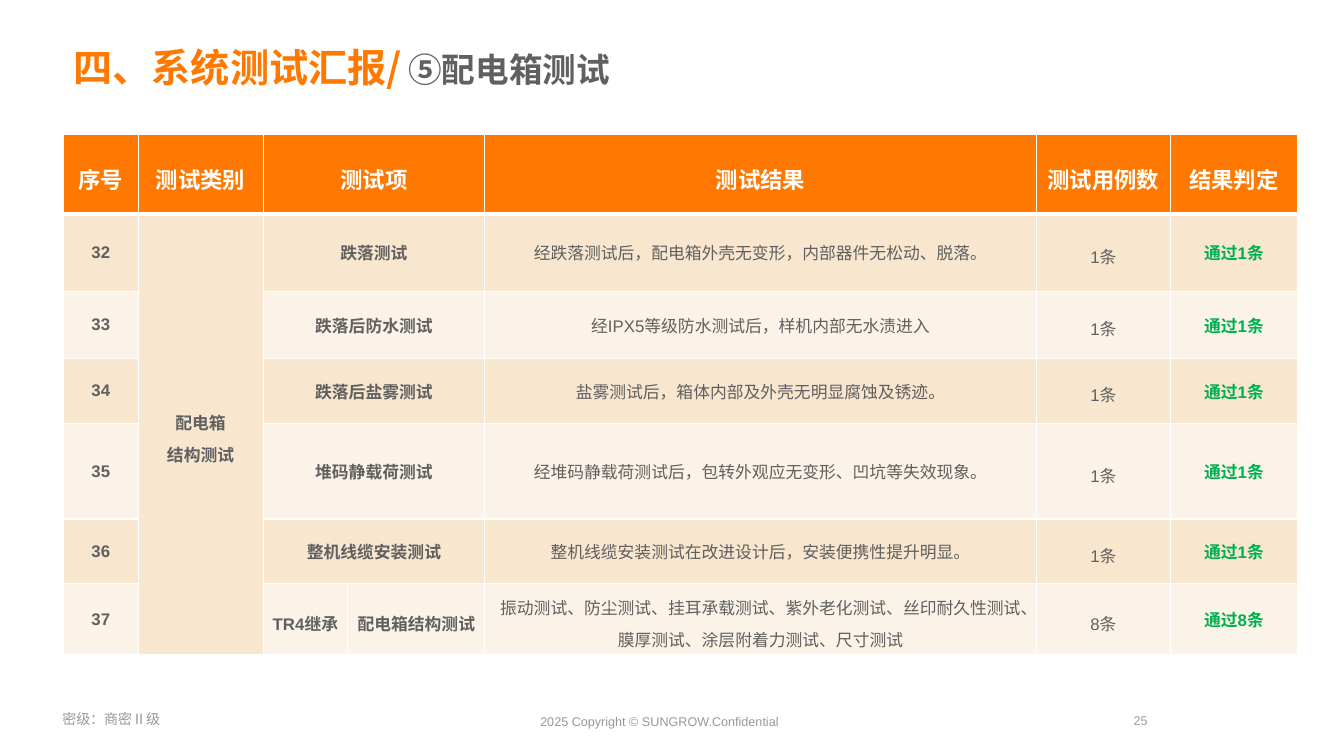
from lxml import etree
from pptx import Presentation, util as u
from pptx.dml.color import RGBColor
from pptx.enum import text
from pptx.oxml.ns import qn

ORANGE, GREY, GREEN, WHITE = "FF7900", "5F605F", "00B050", "FFFFFF"
FOOTER_GREY, PAGE_GREY = "979897", "9D9D9D"
BANDS = ["F8E6CF", "FCF3E8"]
LATIN, CJK = "Arial", "Noto Sans CJK SC"
CENTER, RIGHT = text.PP_ALIGN.CENTER, text.PP_ALIGN.RIGHT
MIDDLE = text.MSO_ANCHOR.MIDDLE

COLUMN_WIDTHS = [0.74, 1.24, 0.84, 1.36, 5.47, 1.33, 1.26]
ROW_HEIGHTS = [0.79, 0.77, 0.67, 0.64, 0.95, 0.64, 0.71]
HEADERS = ["序号", "测试类别", "测试项", "", "测试结果", "测试用例数", "结果判定"]
TESTS = [
    ("跌落测试", "", "经跌落测试后，配电箱外壳无变形，内部器件无松动、脱落。", 1),
    ("跌落后防水测试", "", "经IPX5等级防水测试后，样机内部无水渍进入", 1),
    ("跌落后盐雾测试", "", "盐雾测试后，箱体内部及外壳无明显腐蚀及锈迹。", 1),
    ("堆码静载荷测试", "", "经堆码静载荷测试后，包转外观应无变形、凹坑等失效现象。", 1),
    ("整机线缆安装测试", "", "整机线缆安装测试在改进设计后，安装便携性提升明显。", 1),
    ("TR4继承", "配电箱结构测试",
     "振动测试、防尘测试、挂耳承载测试、紫外老化测试、丝印耐久性测试、"
     "膜厚测试、涂层附着力测试、尺寸测试", 8),
]
FIRST_NUMBER = 32


def rgb(value):
    return RGBColor.from_string(value)


class SlideBuilder:
    def __init__(self, presentation):
        self.slide = presentation.slides.add_slide(presentation.slide_layouts[6])

    def style(self, paragraph, size, color, bold=False, name=LATIN, align=None, spacing=None):
        paragraph.alignment = align
        if spacing:
            paragraph.line_spacing = spacing
        font = paragraph.font
        font.size, font.bold, font.name = u.Pt(size), bold, name
        font.color.rgb = rgb(color)
        properties = paragraph._p.pPr.find(qn("a:defRPr"))
        etree.SubElement(properties, qn("a:ea")).set("typeface", CJK)

    def text_box(self, left, top, width, height, content, size, color, wrap=True,
                 anchor=text.MSO_ANCHOR.TOP, **style):
        box = self.slide.shapes.add_textbox(*map(u.Inches, (left, top, width, height)))
        frame = box.text_frame
        frame.word_wrap, frame.vertical_anchor = wrap, anchor
        paragraph = frame.paragraphs[0]
        paragraph.text = content
        self.style(paragraph, size, color, **style)
        return paragraph

    def borders(self, cell, bottom):
        properties = cell._tc.get_or_add_tcPr()
        for side, width in (("L", 1), ("R", 1), ("T", 1), ("B", bottom)):
            line = etree.SubElement(properties, qn(f"a:ln{side}"), w=str(u.Pt(width)))
            fill = etree.SubElement(line, qn("a:solidFill"))
            etree.SubElement(fill, qn("a:srgbClr"), val=WHITE)

    def cell(self, cell, content, fill, size=12, color=GREY, bold=True, name=LATIN,
             spacing=None, margins=(0.1, 0.05), bottom=1):
        self.borders(cell, bottom)
        cell.fill.solid()
        cell.fill.fore_color.rgb = rgb(fill)
        cell.vertical_anchor = MIDDLE
        cell.margin_left = cell.margin_right = u.Inches(margins[0])
        cell.margin_top = cell.margin_bottom = u.Inches(margins[1])
        cell.text_frame.text = content
        for paragraph in cell.text_frame.paragraphs:
            self.style(paragraph, size, color, bold, name, CENTER, spacing)

    def table(self, left, top, widths, heights):
        frame = self.slide.shapes.add_table(
            len(heights), len(widths), u.Inches(left), u.Inches(top),
            u.Inches(sum(widths)), u.Inches(sum(heights)))
        table = frame.table
        table.horz_banding = False
        for column, width in zip(table.columns, widths):
            column.width = u.Inches(width)
        for row, height in zip(table.rows, heights):
            row.height = u.Inches(height)
        return table


def add_results(builder):
    table = builder.table(0.63, 1.33, COLUMN_WIDTHS, ROW_HEIGHTS)
    for column, header in enumerate(HEADERS):
        builder.cell(table.cell(0, column), header, ORANGE, size=16, color=WHITE,
                     name=CJK, spacing=1.3, bottom=3)

    spaced = {"spacing": 1.3, "margins": (0.1, 0)}
    for index, (item, detail, result, count) in enumerate(TESTS):
        row = index + 1
        fill = BANDS[index % 2]
        category = "" if index else "配电箱\n结构测试"
        item_style = {"spacing": 1.3, "margins": (0.07, 0)} if detail else {}
        result_style = spaced if detail else {}
        cells = [
            (str(FIRST_NUMBER + index), {}),
            (category, spaced),
            (item, item_style),
            (detail, item_style),
            (result, {"bold": False, **result_style}),
            (f"{count}条", {"bold": False, **spaced}),
            (f"通过{count}条", {"color": GREEN}),
        ]
        for column, (content, style) in enumerate(cells):
            cell_fill = BANDS[0] if column == 1 else fill
            builder.cell(table.cell(row, column), content, cell_fill, **style)

    for row in range(len(TESTS)):
        table.cell(row, 2).merge(table.cell(row, 3))
    table.cell(1, 1).merge(table.cell(len(TESTS), 1))


def main():
    presentation = Presentation()
    presentation.slide_width = u.Inches(13.33)
    presentation.slide_height = u.Inches(7.5)
    builder = SlideBuilder(presentation)

    builder.text_box(5.26, 7.03, 2.72, 0.25, "2025 Copyright © SUNGROW.Confidential",
                     9, FOOTER_GREY)
    builder.text_box(0.52, 7, 1.18, 0.27, "密级：商密Ⅱ级", 10, FOOTER_GREY, wrap=False)
    builder.text_box(9.79, 6.95, 1.69, 0.4, "25", 9, PAGE_GREY, anchor=MIDDLE, align=RIGHT)

    title = builder.text_box(0.63, 0.43, 9.08, 0.53, "四、系统测试汇报/", 28, ORANGE,
                             anchor=MIDDLE, bold=True, name=CJK, spacing=0.9)
    for content, size in ((" ", 20), ("⑤配电箱测试", 24)):
        run = title.add_run()
        run.text = content
        run.font.size = u.Pt(size)
        run.font.color.rgb = rgb(GREY)

    add_results(builder)
    presentation.save("out.pptx")


if __name__ == "__main__":
    main()
